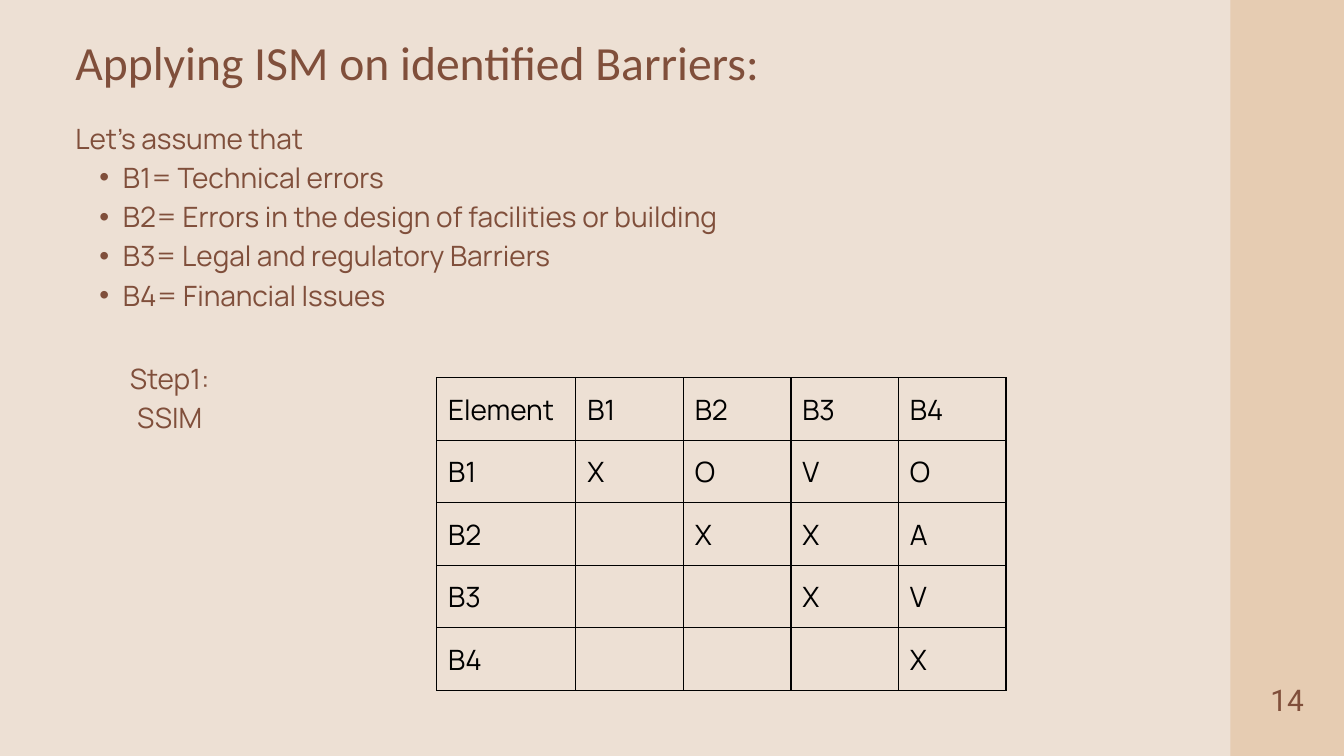
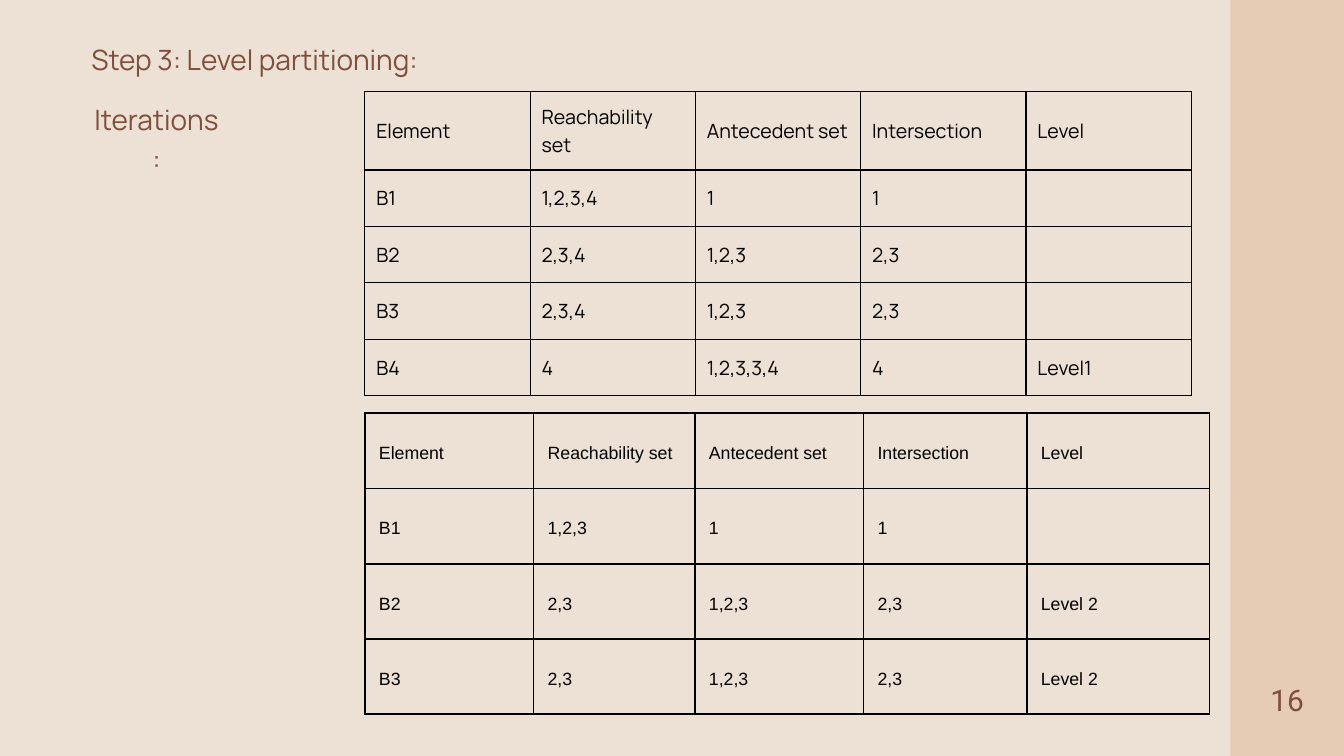
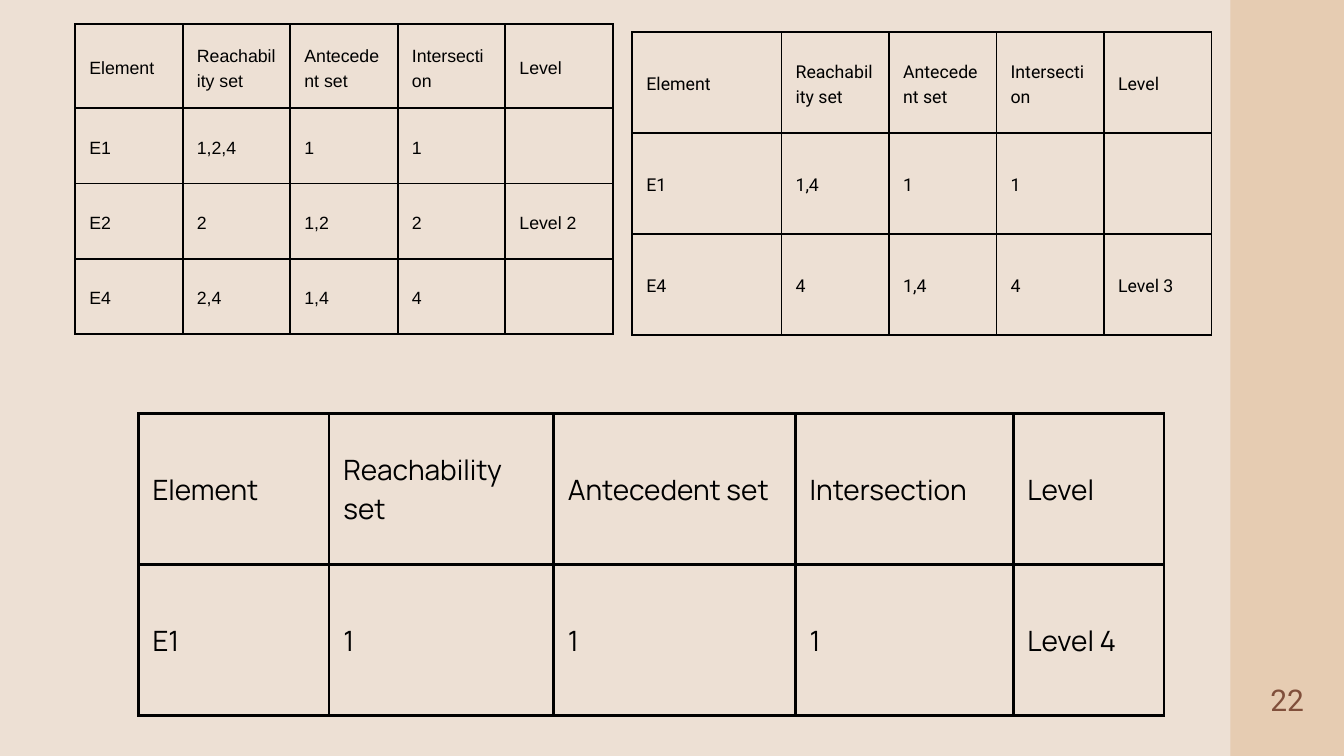
"""Build three slides on interpretive structural modelling of barriers."""
from dataclasses import dataclass

from lxml.etree import SubElement
from pptx import Presentation
from pptx.dml.color import RGBColor
from pptx.enum.shapes import MSO_SHAPE
from pptx.enum.text import MSO_ANCHOR, MSO_AUTO_SIZE, PP_ALIGN
from pptx.oxml.ns import qn
from pptx.slide import Slide
from pptx.util import Inches, Pt

COLUMNS, ROWS = 20, 11.25
SLIDE_WIDTH, SLIDE_HEIGHT = Inches(20), Inches(11.25)
BAND_LEFT = 18.31
COLORS = {"background": "EDE0D4", "band": "E6CCB2", "text": "804F3B", "table": "000000"}
LEADING = 1.4
SET_HEADINGS = ("Element", "Reachability set", "Antecedent set", "Intersection", "Level")


@dataclass(frozen=True)
class Area:
    """A rectangle in grid columns and rows."""
    left: float
    top: float
    width: float
    height: float

    def emu(self) -> tuple[int, int, int, int]:
        """Return left, top, width and height in EMU."""
        return across(self.left), down(self.top), across(self.width), down(self.height)


@dataclass(frozen=True)
class Style:
    """The look of a paragraph."""
    size: float
    font: str = "Manrope"
    color: str = "text"
    align: PP_ALIGN = PP_ALIGN.CENTER
    leading: float = LEADING


@dataclass(frozen=True)
class Matrix:
    """A bordered table with one header row."""
    left: float
    top: float
    widths: tuple[float, ...]
    header_height: float
    row_height: float
    rows: tuple[tuple[str, ...], ...]
    size: float
    font: str = "Manrope"
    border: float = 2.25
    padding: float = 0.21
    headings: tuple[str, ...] = SET_HEADINGS


HEADING = Style(51, "Calibri", align=PP_ALIGN.LEFT, leading=1)
LABEL = Style(30)
LISTING = Style(30, align=PP_ALIGN.JUSTIFY)
PAGE_NUMBER = Style(32, "Roboto")

BARRIERS = (
    "B1= Technical errors",
    "B2= Errors in the design of facilities or building",
    "B3= Legal and regulatory Barriers",
    "B4= Financial Issues",
)
SSIM = Matrix(
    6.5, 5.62, (2.07,) + (1.6,) * 4, 0.93, 0.93,
    (("B1", "X", "O", "V", "O"),
     ("B2", "", "X", "X", "A"),
     ("B3", "", "", "X", "V"),
     ("B4", "", "", "", "X")),
    30, border=1.5, padding=0.17, headings=("Element", "B1", "B2", "B3", "B4"))
BARRIER_LEVELS = (
    Matrix(
        5.43, 1.36, (2.46,) * 5, 1.17, 0.84,
        (("B1", "1,2,3,4", "1", "1", ""),
         ("B2", "2,3,4", "1,2,3", "2,3", ""),
         ("B3", "2,3,4", "1,2,3", "2,3", ""),
         ("B4", "4", "1,2,3,3,4", "4", "Level1")),
        21, border=1.5, padding=0.17),
    Matrix(
        5.43, 6.15, (2.51, 2.4, 2.51, 2.43, 2.72), 1.12, 1.12,
        (("B1", "1,2,3", "1", "1", ""),
         ("B2", "2,3", "1,2,3", "2,3", "Level 2"),
         ("B3", "2,3", "1,2,3", "2,3", "Level 2")),
        19, "Arial"),
)
ELEMENT_LEVELS = (
    Matrix(
        1.12, 0.36, (1.6,) * 5, 1.25, 1.12,
        (("E1", "1,2,4", "1", "1", ""),
         ("E2", "2", "1,2", "2", "Level 2"),
         ("E4", "2,4", "1,4", "4", "")),
        19, "Arial"),
    Matrix(
        9.41, 0.48, (2.22,) + (1.6,) * 4, 1.5, 1.5,
        (("E1", "1,4", "1", "1", ""),
         ("E4", "4", "1,4", "4", "Level 3")),
        19, "Roboto"),
    Matrix(
        2.06, 6.15, (2.84, 3.34, 3.6, 3.24, 2.24), 2.25, 2.25,
        (("E1", "1", "1", "1", "Level 4"),),
        30, border=3),
)


def across(columns: float) -> int:
    """Convert grid columns to EMU."""
    return round(SLIDE_WIDTH * columns / COLUMNS)


def down(rows: float) -> int:
    """Convert grid rows to EMU."""
    return round(SLIDE_HEIGHT * rows / ROWS)


def color(role: str) -> RGBColor:
    """Return the colour of a role."""
    return RGBColor.from_string(COLORS[role])


def format_paragraph(paragraph, style: Style) -> None:
    """Apply a style to a paragraph."""
    paragraph.alignment = style.align
    paragraph.line_spacing = Pt(style.size * style.leading)
    paragraph.space_before = Pt(0)
    paragraph.font.size = Pt(style.size)
    paragraph.font.name = style.font
    paragraph.font.color.rgb = color(style.color)


def set_bullet(paragraph, bulleted: bool) -> None:
    """Give a paragraph a hanging bullet or none at all."""
    properties = paragraph._p.get_or_add_pPr()
    properties.set("marL", str(across(0.71) if bulleted else 0))
    properties.set("indent", str(across(-0.35) if bulleted else 0))
    if bulleted:
        paragraph.level = 1
        SubElement(properties, qn("a:buFont"), typeface="Arial")
        SubElement(properties, qn("a:buChar"), char="•")
    else:
        SubElement(properties, qn("a:buNone"))


def fill_frame(holder, area: Area, lines: tuple[str, ...], style: Style) -> None:
    """Place a text holder and write its lines, bulleted after the first."""
    holder.left, holder.top, holder.width, holder.height = area.emu()
    frame = holder.text_frame
    frame.margin_left = frame.margin_right = frame.margin_top = frame.margin_bottom = 0
    frame.word_wrap = True
    frame.vertical_anchor = MSO_ANCHOR.TOP
    frame.auto_size = MSO_AUTO_SIZE.SHAPE_TO_FIT_TEXT
    frame.text = "\n".join(lines)
    for position, paragraph in enumerate(frame.paragraphs):
        set_bullet(paragraph, position > 0)
        format_paragraph(paragraph, style)


def add_label(slide: Slide, area: Area, text: str, style: Style = LABEL) -> None:
    """Add a single-paragraph text box."""
    fill_frame(slide.shapes.add_textbox(*area.emu()), area, (text,), style)


def add_border(cell, points: float) -> None:
    """Draw all four edges of a cell."""
    properties = cell._tc.get_or_add_tcPr()
    for edge in ("lnL", "lnR", "lnT", "lnB"):
        line = SubElement(properties, qn(f"a:{edge}"), w=str(Pt(points)))
        fill = SubElement(line, qn("a:solidFill"))
        SubElement(fill, qn("a:srgbClr"), val=COLORS["table"])


def add_matrix(slide: Slide, matrix: Matrix) -> None:
    """Add a table of elements."""
    lines = (matrix.headings,) + matrix.rows
    heights = (matrix.header_height,) + (matrix.row_height,) * len(matrix.rows)
    area = Area(matrix.left, matrix.top, sum(matrix.widths), sum(heights))
    style = Style(matrix.size, matrix.font, "table", PP_ALIGN.LEFT)
    table = slide.shapes.add_table(len(lines), len(matrix.widths), *area.emu()).table
    table.first_row = table.horz_banding = False
    for column, width in zip(table.columns, matrix.widths):
        column.width = across(width)
    for row, height, line in zip(table.rows, heights, lines):
        row.height = down(height)
        for cell, text in zip(row.cells, line):
            cell.text = text
            cell.vertical_anchor = MSO_ANCHOR.MIDDLE
            cell.margin_left = cell.margin_right = across(matrix.padding)
            cell.margin_top = cell.margin_bottom = down(matrix.padding)
            add_border(cell, matrix.border)
            cell.fill.background()
            format_paragraph(cell.text_frame.paragraphs[0], style)


def add_page(deck, layout: str, number: int) -> Slide:
    """Add a slide with the side band and its page number."""
    slide = deck.slides.add_slide(deck.slide_layouts.get_by_name(layout))
    band_area = Area(BAND_LEFT, 0, COLUMNS - BAND_LEFT, ROWS)
    band = slide.shapes.add_shape(MSO_SHAPE.RECTANGLE, *band_area.emu())
    band.shadow.inherit = False
    band.fill.solid()
    band.fill.fore_color.rgb = color("band")
    band.line.fill.background()
    add_label(slide, Area(18.73, 10.06, 0.85, 0.59), str(number), PAGE_NUMBER)
    return slide


def main() -> None:
    """Build and save the deck."""
    deck = Presentation()
    deck.slide_width, deck.slide_height = SLIDE_WIDTH, SLIDE_HEIGHT
    background = deck.slide_master.background.fill
    background.solid()
    background.fore_color.rgb = color("background")

    ssim_page = add_page(deck, "Title and Content", 14)
    fill_frame(ssim_page.shapes.title, Area(1.12, 0.63, 16.13, 0.75),
               ("Applying ISM on identified Barriers:",), HEADING)
    fill_frame(ssim_page.placeholders[1], Area(1.12, 1.72, 16.63, 3.49),
               ("Let’s assume that",) + BARRIERS, LISTING)
    add_label(ssim_page, Area(1.41, 5.3, 2.23, 0.57), "Step1: SSIM")
    add_matrix(ssim_page, SSIM)

    levels_page = add_page(deck, "Title Only", 16)
    fill_frame(levels_page.shapes.title, Area(0.48, 0.55, 6.62, 0.57),
               ("Step 3: Level partitioning:",), LABEL)
    add_label(levels_page, Area(1.4, 1.44, 1.86, 0.57), "Iterations:")
    for matrix in BARRIER_LEVELS:
        add_matrix(levels_page, matrix)

    elements_page = add_page(deck, "Blank", 22)
    for matrix in ELEMENT_LEVELS:
        add_matrix(elements_page, matrix)

    deck.save("out.pptx")


if __name__ == "__main__":
    main()
